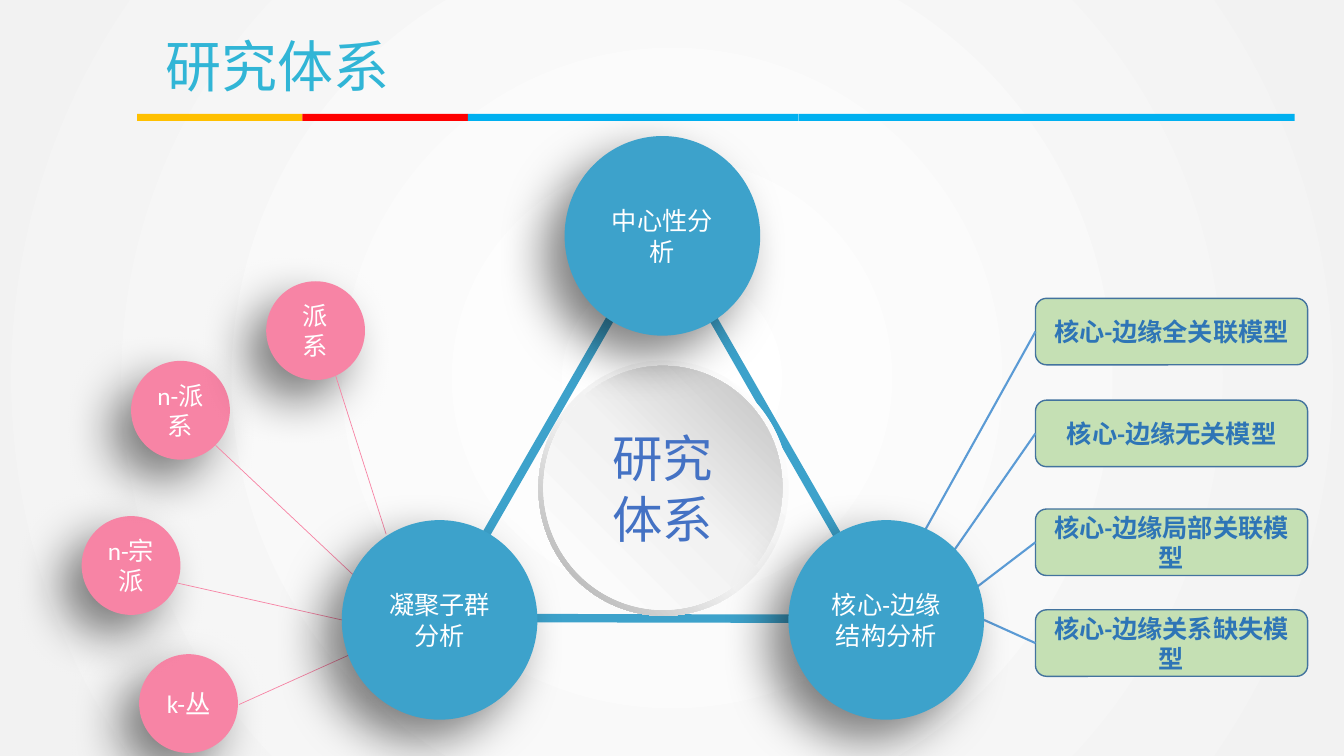
from lxml import etree
from pptx import Presentation
from pptx.dml.color import RGBColor
from pptx.enum.shapes import MSO_CONNECTOR, MSO_SHAPE
from pptx.enum.text import MSO_ANCHOR, MSO_AUTO_SIZE, PP_ALIGN
from pptx.oxml.ns import qn
from pptx.util import Inches, Pt

RECTANGLE = MSO_SHAPE.RECTANGLE
ROUNDED = MSO_SHAPE.ROUNDED_RECTANGLE
ELLIPSE = MSO_SHAPE.OVAL
DONUT = MSO_SHAPE.DONUT
STRAIGHT = MSO_CONNECTOR.STRAIGHT
TOP, MIDDLE = MSO_ANCHOR.TOP, MSO_ANCHOR.MIDDLE
LEFT, CENTER = PP_ALIGN.LEFT, PP_ALIGN.CENTER
FIXED_SIZE = MSO_AUTO_SIZE.NONE

COLUMNS, ROWS = 13.33, 7.5  # a grid of one-inch cells
TITLE_ONLY = 5
LEFT_SIDE = 1

CYAN, YELLOW, RED, SKY = "31B5D6", "FFC000", "FF0000", "00B0F0"
PINK, TEAL, WHITE, BLUE = "F784A5", "3DA2CB", "FFFFFF", "4472C4"
GREEN, CARD_EDGE, CARD_TEXT, CARD_LINK = "C5E0B4", "43739E", "2E75B6", "5B9BD5"
PALE = "F2F2F2"

BUBBLE_SIZE = 0.98
NODE_SIZE = (1.94, 1.98)
CARD_LEFT, CARD_SIZE = 10.27, (2.7, 0.66)
BAR_LEFT, BAR_WIDTH = 1.36, 1.64

# text, left, top, start and end of the link
BUBBLES = [
    ("k-丛", 1.38, 6.49, (2.37, 6.99), (3.48, 6.49)),
    ("n-宗派", 0.81, 5.12, (1.74, 5.78), (3.39, 6.15)),
    ("n-派系", 1.3, 3.58, (2.14, 4.42), (3.5, 5.7)),
    ("派系", 2.64, 2.79, (3.33, 3.73), (3.83, 5.3)),
]
# text, top, end of the link at the circle
CARDS = [
    ("核心-边缘全关联模型", 2.96, (9.18, 5.25)),
    ("核心-边缘无关模型", 3.97, (9.47, 5.45)),
    ("核心-边缘局部关联模型", 5.05, (9.68, 5.83)),
    ("核心-边缘关系缺失模型", 6.05, (9.76, 6.15)),
]
TRIANGLE = [
    ((4.35, 6.12), (6.56, 2.28)),
    ((4.33, 6.13), (8.8, 6.14)),
    ((8.77, 6.12), (6.59, 2.32)),
]
NODES = [
    ("中心性分析", 5.6, 1.35),
    ("核心-边缘结构分析", 7.82, 5.16),
    ("凝聚子群分析", 3.39, 5.16),
]


def color(value):
    return RGBColor.from_string(value)


def add_element(parent, tag, **attributes):
    texts = {name: str(value) for name, value in attributes.items()}
    return etree.SubElement(parent, qn(tag), texts)


def gradient(parent, stops, angle=None):
    """Append a gradient fill; without an angle it spreads from the centre."""
    fill = add_element(parent, "a:gradFill", rotWithShape=1)
    stop_list = add_element(fill, "a:gsLst")
    for position, value in stops:
        stop = add_element(stop_list, "a:gs", pos=position * 1000)
        add_element(stop, "a:srgbClr", val=value)
    if angle is None:
        spread = add_element(fill, "a:path", path="circle")
        add_element(spread, "a:fillToRect", l=50000, t=50000, r=50000, b=50000)
    else:
        add_element(fill, "a:lin", ang=angle * 60000, scaled=0)
    return fill


class SlideBuilder:
    latin, asian = "Calibri", "Noto Sans CJK SC"

    def __init__(self, deck):
        self.page = deck.slides.add_slide(deck.slide_layouts[TITLE_ONLY])

    def background(self, stops):
        backdrop = etree.Element(qn("p:bg"))
        properties = add_element(backdrop, "p:bgPr")
        gradient(properties, stops)
        add_element(properties, "a:effectLst")
        self.page.element.find(qn("p:cSld")).insert(0, backdrop)

    def add_text(self, box, text, size, value, bold=False, font=latin, align=CENTER):
        para = box.text_frame.paragraphs[0]
        para.alignment = align
        span = para.add_run()
        span.text = text
        span.font.size, span.font.bold = Pt(size), bold
        span.font.name, span.font.color.rgb = font, color(value)
        add_element(next(box.element.iter(qn("a:rPr"))), "a:ea", typeface=self.asian)
        return para

    def title(self, text, left, top, width, height):
        box = self.page.shapes.title
        box.left, box.top = Inches(left), Inches(top)
        box.width, box.height = Inches(width), Inches(height)
        frame = box.text_frame
        frame.word_wrap, frame.auto_size = True, FIXED_SIZE
        frame.vertical_anchor = TOP
        para = self.add_text(box, text, 40, CYAN, font=self.asian, align=LEFT)
        para.line_spacing = 0.9

    def shape(self, kind, left, top, width, height, fill, edge=None):
        box = self.page.shapes.add_shape(
            kind, Inches(left), Inches(top), Inches(width), Inches(height))
        box.shadow.inherit = False
        box.fill.solid()
        box.fill.fore_color.rgb = color(fill)
        if edge:
            box.line.color.rgb, box.line.width = color(edge), Pt(1)
        else:
            box.line.fill.background()
        box.text_frame.word_wrap = True
        box.text_frame.vertical_anchor = MIDDLE
        return box

    def gradient_shape(self, kind, left, top, width, height, stops, angle):
        box = self.shape(kind, left, top, width, height, WHITE)
        properties = box.element.spPr
        solid = properties.find(qn("a:solidFill"))
        properties.replace(solid, gradient(properties, stops, angle))
        return box

    def shadowed_circle(self, text, left, top, width, height, fill):
        box = self.shape(ELLIPSE, left, top, width, height, fill)
        effects = box.element.spPr.find(qn("a:effectLst"))
        shadow = add_element(effects, "a:outerShdw", blurRad=Pt(35), dist=Pt(20),
                             dir=135 * 60000, algn="tr", rotWithShape=0)
        shade = add_element(shadow, "a:srgbClr", val="000000")
        add_element(shade, "a:alpha", val=50000)
        self.add_text(box, text, 18, WHITE)

    def card(self, text, top):
        box = self.shape(ROUNDED, CARD_LEFT, top, *CARD_SIZE, GREEN, CARD_EDGE)
        self.add_text(box, text, 18, CARD_TEXT, bold=True)
        return box

    def line(self, start, end, value, width):
        link = self.page.shapes.add_connector(
            STRAIGHT, *(Inches(length) for length in start + end))
        link.line.color.rgb, link.line.width = color(value), Pt(width)
        add_element(link.element.spPr, "a:effectLst")
        return link


def main():
    deck = Presentation()
    deck.slide_width, deck.slide_height = Inches(COLUMNS), Inches(ROWS)
    slide = SlideBuilder(deck)
    slide.background([(0, WHITE), (100, PALE)])

    for index, value in enumerate([YELLOW, RED] + [SKY] * 5):
        left = BAR_LEFT + index * BAR_WIDTH
        slide.shape(RECTANGLE, left, 1.13, BAR_WIDTH, 0.07, value)
    slide.title("研究体系", 1.54, 0.34, 8.5, 0.77)

    for text, left, top, start, end in BUBBLES:
        slide.shadowed_circle(text, left, top, BUBBLE_SIZE, BUBBLE_SIZE, PINK)
        slide.line(start, end, PINK, 0.5)

    for text, top, circle_end in CARDS:
        card = slide.card(text, top)
        card_end = (CARD_LEFT, top + CARD_SIZE[1] / 2)
        link = slide.line(card_end, circle_end, CARD_LINK, 1.5)
        link.begin_connect(card, LEFT_SIDE)

    for start, end in TRIANGLE:
        slide.line(start, end, TEAL, 6)
    ring = slide.gradient_shape(DONUT, 5.34, 3.58, 2.48, 2.53,
                                [(0, WHITE), (55, PALE), (100, "A6A6A6")], 135)
    ring.adjustments[0] = 0.05
    hub = slide.gradient_shape(ELLIPSE, 5.39, 3.63, 2.37, 2.42,
                               [(0, WHITE), (51, PALE), (100, "BFBFBF")], 315)
    slide.add_text(hub, "研究体系", 36, BLUE)
    for text, left, top in NODES:
        slide.shadowed_circle(text, left, top, *NODE_SIZE, TEAL)

    deck.save("out.pptx")


if __name__ == "__main__":
    main()
